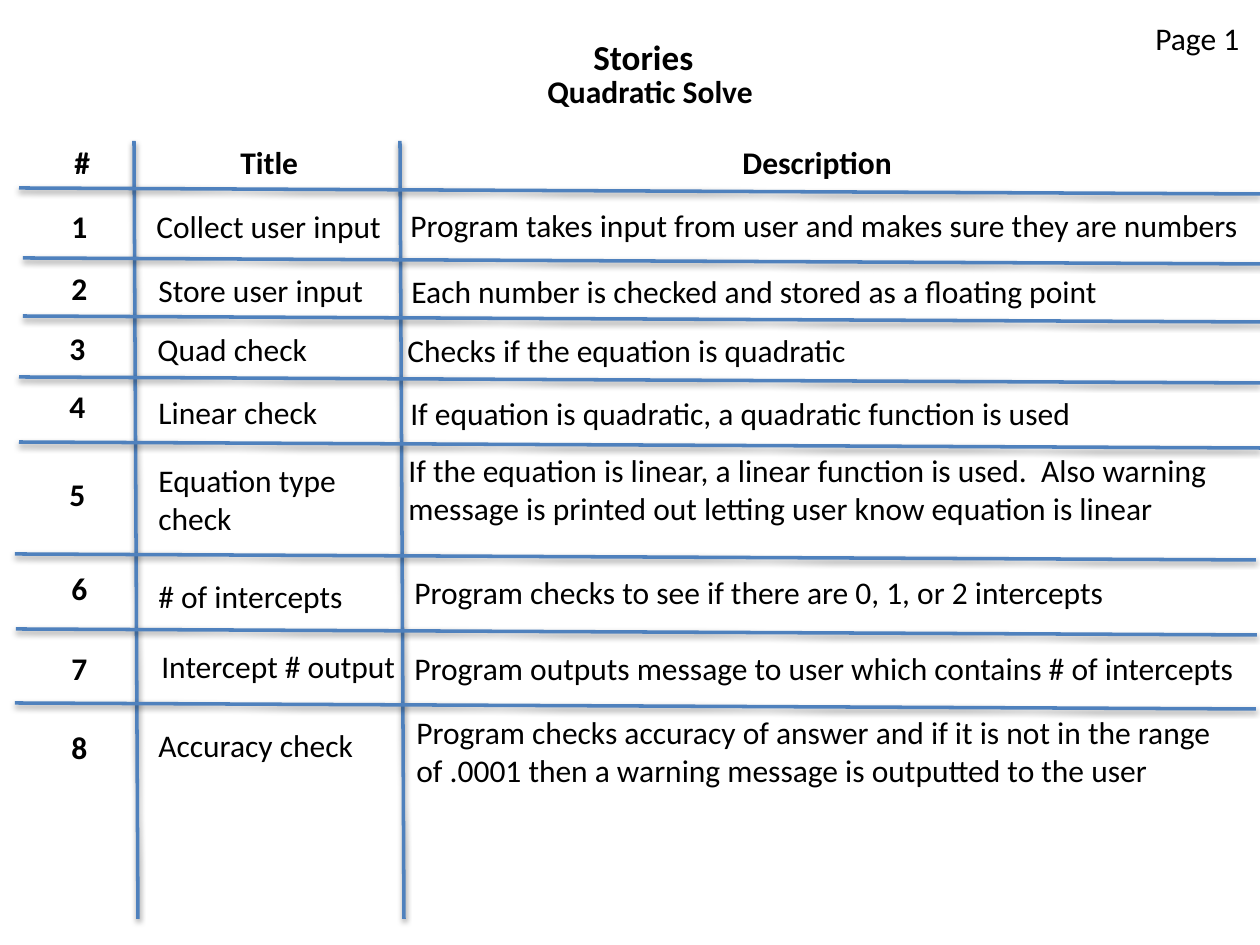
import collections

import lxml.etree
import pptx
import pptx.dml.color
import pptx.enum.shapes
import pptx.enum.text
import pptx.oxml.ns
import pptx.util

PX = 914400 / 126  # EMU per px
SLIDE_WIDTH, SLIDE_HEIGHT = 1260, 945
FONT = "Calibri"
BLACK = pptx.dml.color.RGBColor(0x00, 0x00, 0x00)
BLUE = pptx.dml.color.RGBColor(0x4F, 0x81, 0xBD)
LINE_HEIGHT, PADDING = 38, 12
SPARE_WIDTH = 5  # keeps each line of text clear of the box edge, so it never wraps

Box = collections.namedtuple("Box", "left top width height")
# An item sits relative to its row: left, top, width and lines of text
Item = collections.namedtuple("Item", "left top width lines")
# A row hangs from its rule, placed relative to the table
Story = collections.namedtuple("Story", "rule_left rule_top number title description")

HEADINGS = [
    Item(47, 0, 40, ["#"]),
    Item(213, 0, 83, ["Title"]),
    Item(715, 0, 175, ["Description"]),
]
STORIES = [
    Story(4, 51, Item(44, 13, 40, ["1"]),
          Item(129, 13, 249, ["Collect user input"]),
          Item(383, 12, 854, ["Program takes input from user and makes sure they are numbers"])),
    Story(8, 121, Item(44, 5, 40, ["2"]),
          Item(131, 7, 229, ["Store user input"]),
          Item(384, 8, 711, ["Each number is checked and stored as a floating point"])),
    Story(8, 179, Item(42, 7, 40, ["3"]),
          Item(130, 8, 175, ["Quad check"]),
          Item(380, 9, 464, ["Checks if the equation is quadratic"])),
    Story(4, 240, Item(42, 4, 40, ["4"]),
          Item(131, 10, 184, ["Linear check"]),
          Item(383, 11, 685, ["If equation is quadratic, a quadratic function is used"])),
    Story(4, 305, Item(42, 27, 40, ["5"]),
          Item(131, 13, 203, ["Equation type", "check"]),
          Item(381, 3, 832, ["If the equation is linear, a linear function is used.  Also warning",
                             "message is printed out letting user know equation is linear"])),
    Story(0, 417, Item(44, 9, 40, ["6"]),
          Item(131, 17, 209, ["# of intercepts"]),
          Item(387, 13, 714, ["Program checks to see if there are 0, 1, or 2 intercepts"])),
    Story(1, 492, Item(44, 14, 40, ["7"]),
          Item(134, 12, 258, ["Intercept # output"]),
          Item(387, 14, 844, ["Program outputs message to user which contains # of intercepts"])),
    Story(0, 566, Item(44, 19, 40, ["8"]),
          Item(131, 17, 219, ["Accuracy check"]),
          Item(389, 4, 819, ["Program checks accuracy of answer and if it is not in the range",
                             "of .0001 then a warning message is outputted to the user"])),
]
DIVIDERS = [119, 385]
RULE_WIDTH, RULE_DROP, DIVIDER_SHIFT = 1241, 6, 4


def px(length):
    return pptx.util.Emu(round(length * PX))


def add_text(slide, left, top, item, size=18, bold=False):
    height = len(item.lines) * LINE_HEIGHT + PADDING
    shape = slide.shapes.add_textbox(px(left + item.left), px(top + item.top),
                                     px(item.width + SPARE_WIDTH), px(height))
    frame = shape.text_frame
    frame.word_wrap = False
    frame.vertical_anchor = pptx.enum.text.MSO_ANCHOR.TOP
    for index, line in enumerate(item.lines):
        paragraph = frame.add_paragraph() if index else frame.paragraphs[0]
        paragraph.alignment = pptx.enum.text.PP_ALIGN.LEFT
        run = paragraph.add_run()
        run.text = line
        run.font.name = FONT
        run.font.size = pptx.util.Pt(size)
        run.font.bold = bold
        run.font.color.rgb = BLACK


def add_line(slide, start_x, start_y, end_x, end_y):
    line = slide.shapes.add_connector(pptx.enum.shapes.MSO_CONNECTOR.STRAIGHT,
                                      px(start_x), px(start_y), px(end_x), px(end_y))
    line.line.color.rgb = BLUE
    line.line.width = pptx.util.Pt(2)
    # Soft shadow below the line
    parent = line._element.spPr
    for tag, attributes in [
        ("a:effectLst", {}),
        ("a:outerShdw", {"blurRad": "40000", "dist": "20000", "dir": "5400000",
                         "rotWithShape": "0"}),
        ("a:srgbClr", {"val": str(BLACK)}),
        ("a:alpha", {"val": "38000"}),
    ]:
        parent = lxml.etree.SubElement(parent, pptx.oxml.ns.qn(tag), attributes)


def add_header(slide, box):
    add_text(slide, box.left, box.top, Item(581, 16, 125, ["Stories"]), size=20, bold=True)
    add_text(slide, box.left, box.top, Item(535, 53, 231, ["Quadratic Solve"]), bold=True)
    add_text(slide, box.left, box.top, Item(1143, 0, 108, ["Page 1"]))


def add_story(slide, left, top, story):
    rule_left = left + story.rule_left
    add_line(slide, rule_left, top, rule_left + RULE_WIDTH, top + RULE_DROP)
    add_text(slide, left, top, story.number, bold=True)
    add_text(slide, left, top, story.title)
    add_text(slide, left, top, story.description)


def add_story_table(slide, box):
    # Column dividers
    for divider in DIVIDERS:
        start_x = box.left + divider
        add_line(slide, start_x, box.top + 4, start_x + DIVIDER_SHIFT, box.top + box.height)
    # Column headings
    for heading in HEADINGS:
        add_text(slide, box.left, box.top, heading, bold=True)
    # One row for each story
    for story in STORIES:
        add_story(slide, box.left, box.top + story.rule_top, story)


def main():
    presentation = pptx.Presentation()
    presentation.slide_width = px(SLIDE_WIDTH)
    presentation.slide_height = px(SLIDE_HEIGHT)
    slide = presentation.slides.add_slide(presentation.slide_layouts[6])
    add_header(slide, Box(0, 13, SLIDE_WIDTH, 104))
    add_story_table(slide, Box(15, 137, 1245, 782))
    presentation.save("out.pptx")


if __name__ == "__main__":
    main()
